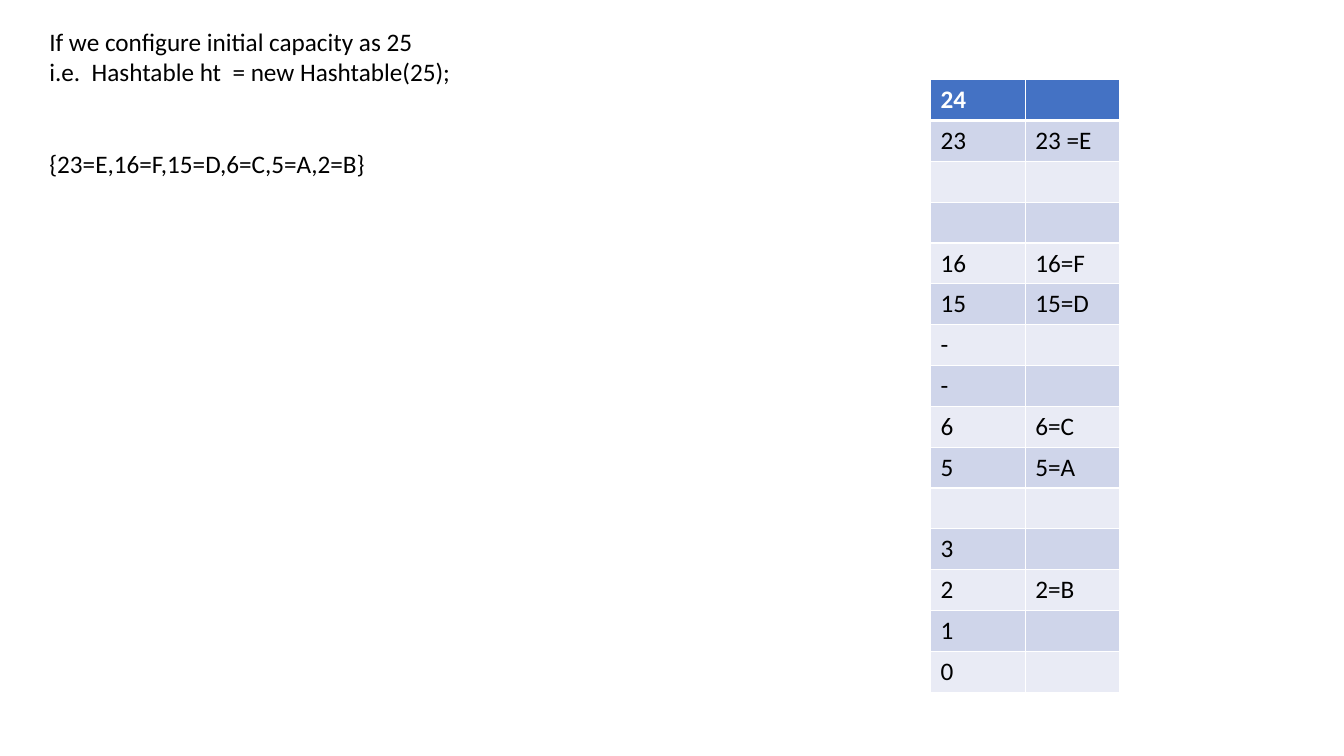
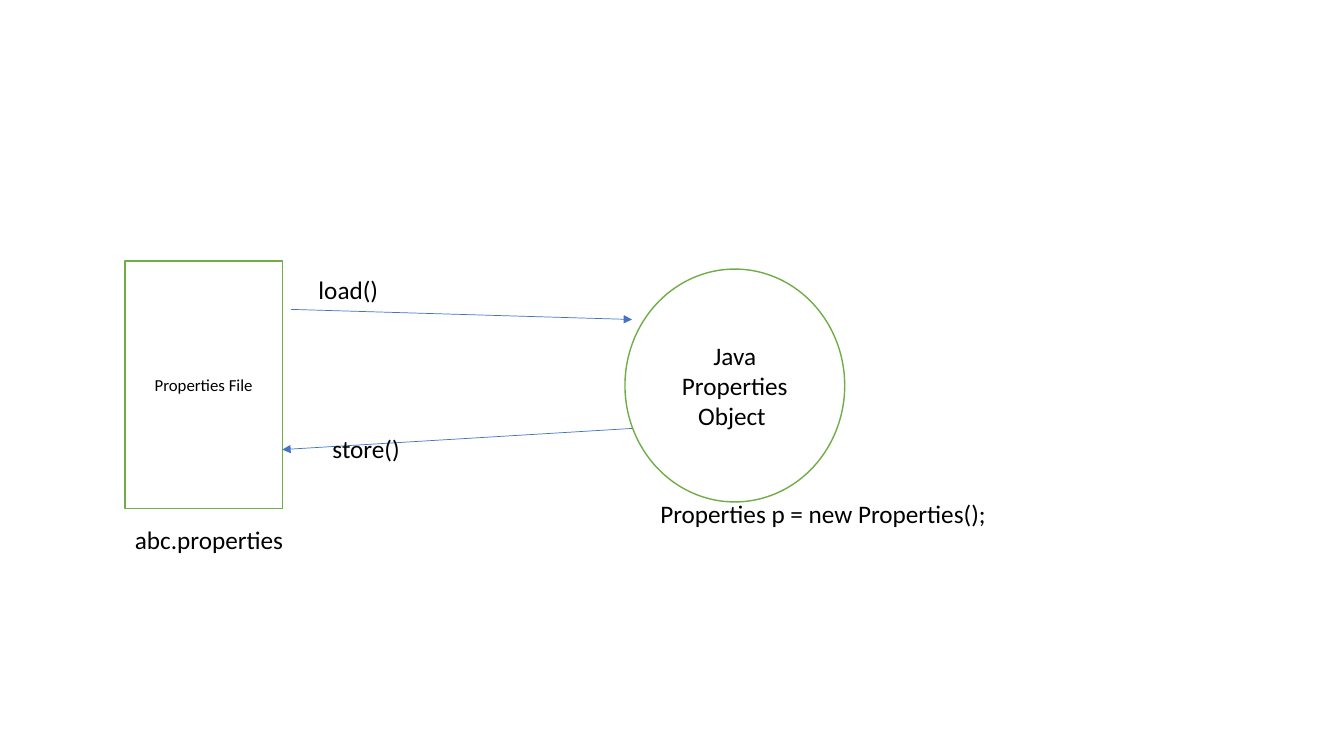
from pptx import Presentation
from pptx.dml.color import RGBColor
from pptx.enum.shapes import MSO_CONNECTOR as Link, MSO_SHAPE as Form
from pptx.enum.text import MSO_ANCHOR as Anchor, PP_ALIGN as Align
from pptx.oxml.ns import qn
from pptx.util import Inches, Pt
from lxml.etree import SubElement as Sub

# Shared look
FONT = "Calibri"
BLACK, WHITE, BLUE, GREEN = "000000", "FFFFFF", "4472C4", "70AD47"
BANDS = ["E9EBF5", "CFD5EA"]

deck = Presentation()
deck.slide_width, deck.slide_height = Inches(13.33), Inches(7.5)
PAGE = (0, 0, deck.slide_width, deck.slide_height)


def color(code):
    return RGBColor.from_string(code)


def part(box, x, y, w=0, h=0):
    """Turn percentages of a box into a box on the slide."""
    left, top, wide, high = box
    return (left + int(wide * x / 100), top + int(high * y / 100),
            int(wide * w / 100), int(high * h / 100))


def style(frame, size=18, code=BLACK, bold=False, align=Align.LEFT):
    for para in frame.paragraphs:
        para.alignment = align
        for run in para.runs:
            font = run.font
            font.name, font.size, font.bold = FONT, Pt(size), bold
            font.color.rgb = color(code)


def label(slide, box, text):
    frame = slide.shapes.add_textbox(*box).text_frame
    frame.word_wrap = True
    frame.text = text
    style(frame)
    return frame


def node(slide, form, box, text, size):
    shape = slide.shapes.add_shape(form, *box)
    shape.shadow.inherit = False
    shape.fill.solid()
    shape.fill.fore_color.rgb = color(WHITE)
    shape.line.color.rgb = color(GREEN)
    shape.line.width = Pt(1)
    frame = shape.text_frame
    frame.word_wrap = True
    frame.vertical_anchor = Anchor.MIDDLE
    frame.text = text
    style(frame, size, align=Align.CENTER)


def arrow(slide, box, start, end):
    ends = part(box, *start)[:2] + part(box, *end)[:2]
    link = slide.shapes.add_connector(Link.STRAIGHT, *ends)
    link.line.color.rgb = color(BLUE)
    link.line.width = Pt(0.5)
    Sub(link.line._get_or_add_ln(), qn("a:tailEnd"), type="triangle")
    Sub(link._element.spPr, qn("a:effectLst"))


def edge(cell, side, width):
    props = cell._tc.get_or_add_tcPr()
    line = Sub(props, qn("a:ln" + side), w=str(Pt(width)))
    Sub(Sub(line, qn("a:solidFill")), qn("a:srgbClr"), val=WHITE)


def buckets(slide, box, rows):
    """Two-column table with a header row and banded rows below."""
    table = slide.shapes.add_table(len(rows), 2, *box).table
    for r, row in enumerate(rows):
        table.rows[r].height = box[3] // len(rows)
        for c, text in enumerate(row):
            cell = table.cell(r, c)
            for side in "LRTB":
                thick = (r, side) in [(0, "B"), (1, "T")]
                edge(cell, side, 3 if thick else 1)
            cell.fill.solid()
            cell.fill.fore_color.rgb = color(BANDS[r % 2] if r else BLUE)
            cell.text_frame.text = text
            style(cell.text_frame, code=BLACK if r else WHITE, bold=r == 0)


def diagram(slide, box):
    """File and object, joined by load and store arrows."""
    node(slide, Form.RECTANGLE, part(box, 0, 0, 18, 83), "Properties File", 12)
    node(slide, Form.OVAL, part(box, 57.2, 2.7, 25.14, 78.04),
         "Java Properties Object ", 18)
    arrow(slide, box, (19, 16.2), (58, 19.6))
    arrow(slide, box, (58, 56.1), (18, 63.2))
    for x, y, w, text in [
        (21, 2.7, 31.6, "load()"),
        (22.6, 56.1, 30, "store()"),
        (0, 86.5, 22.15, "abc.properties"),
        (60.1, 78, 39.9, "Properties p = new Properties();"),
    ]:
        label(slide, part(box, x, y, w, 13.5), text)


# Slide 1: initial capacity
blank = deck.slide_layouts[6]
slide = deck.slides.add_slide(blank)
notes = label(slide, part(PAGE, 2.93, 2.8, 94.15, 29.6),
              "If we configure initial capacity as 25 \n"
              "i.e.  Hashtable ht  = new Hashtable(25);\n"
              "{23=E,16=F,15=D,6=C,5=A,2=B}")
notes.paragraphs[-1].space_before = Pt(44)
buckets(slide, part(PAGE, 69.24, 10.53, 14.1, 81.07), [
    ("24", ""), ("23", "23 =E"), ("", ""), ("", ""), ("16", "16=F"),
    ("15", "15=D"), ("-", ""), ("-", ""), ("6", "6=C"), ("5", "5=A"),
    ("", ""), ("3", ""), ("2", "2=B"), ("1", ""), ("0", ""),
])

# Slide 2: properties file and object
slide = deck.slides.add_slide(blank)
diagram(slide, part(PAGE, 9.3, 34.53, 65.04, 39.47))

deck.save("out.pptx")
